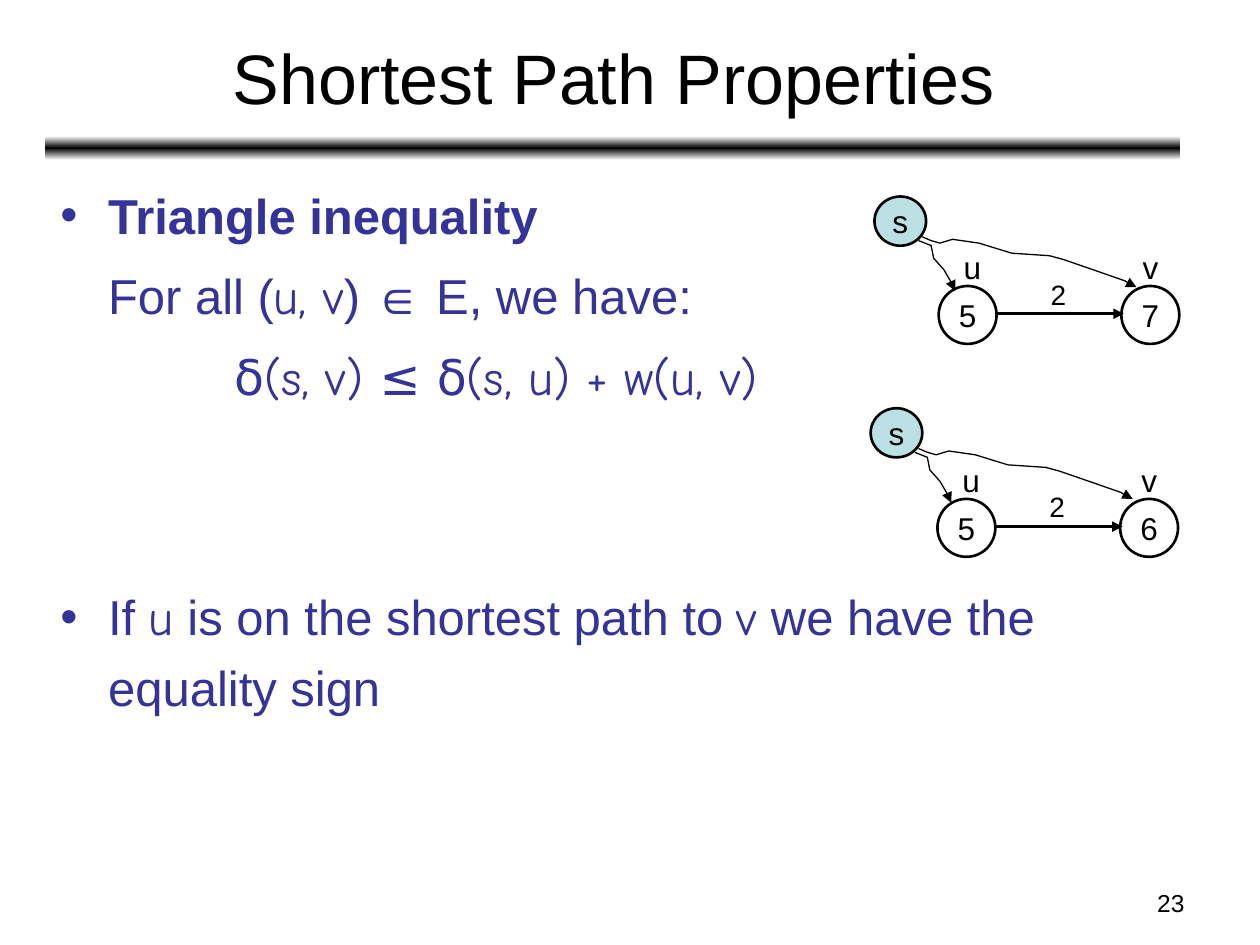
from dataclasses import dataclass

from lxml.etree import SubElement
from pptx import Presentation
from pptx.dml.color import RGBColor
from pptx.enum.shapes import MSO_CONNECTOR, MSO_SHAPE
from pptx.enum.text import MSO_ANCHOR, MSO_AUTO_SIZE, PP_ALIGN
from pptx.oxml.ns import qn
from pptx.util import Inches, Pt

WIDTH, HEIGHT = 10, 7.5
COLORS = {"ink": "000000", "body": "333399", "source": "BBE0E3", "paper": "FFFFFF"}
SANS, COMIC = "Arial", "Comic Neue"
NODE = 0.46
LINE_PITCH = 45.7  # points from one body line to the next
SPACE_BEFORE = 5.6


@dataclass
class Span:
    text: str
    font: str = SANS
    size: float = 28
    color: str = "body"
    bold: bool = False


@dataclass
class Para:
    spans: list[Span]
    bullet: bool = False
    margin: float = 0.38
    before: float = SPACE_BEFORE


@dataclass
class Diagram:
    """Origins of the u-v edge and of the source part, and v's distance."""
    edge: tuple[float, float]
    source: tuple[float, float]
    distance: str


DIAGRAMS = [
    Diagram((7.45, 2.27), (6.94, 1.56), "7"),
    Diagram((7.44, 3.96), (6.91, 3.24), "6"),
]
# Wavy paths, as offsets from the source node's corner
PATH_TO_U = [(0.35, 0.35), (0.45, 0.39), (0.47, 0.49), (0.55, 0.58), (0.62, 0.7), (0.64, 0.75)]
PATH_TO_V = [(0.38, 0.32), (0.45, 0.35), (0.52, 0.37), (0.62, 0.34), (0.83, 0.37),
             (1.09, 0.45), (1.39, 0.47), (1.5, 0.5), (1.76, 0.59), (1.99, 0.67),
             (2.05, 0.71), (2.08, 0.72)]
BODY = [
    Para([Span("Triangle inequality", bold=True)], bullet=True),
    Para([Span("For all ("), Span("u, v", COMIC), Span(") ∈ E, we have:")]),
    Para([Span("δ(s, v) ≤ δ(s, u) + w(u, v)", COMIC)], margin=1.38),
    Para([Span("If "), Span("u", COMIC), Span(" is on the shortest path to "),
          Span("v", COMIC), Span(" we have the equality sign")],
         bullet=True, before=SPACE_BEFORE + 2 * LINE_PITCH),
]


def rgb(name: str) -> RGBColor:
    return RGBColor.from_string(COLORS[name])


def add_span(para, span: Span) -> None:
    run = para.add_run()
    run.text = span.text
    formats = {"name": span.font, "size": Pt(span.size), "bold": span.bold}
    for key, value in formats.items():
        setattr(run.font, key, value)
    run.font.color.rgb = rgb(span.color)


def add_text(page, left, top, width, height, text, size, align=PP_ALIGN.LEFT,
             anchor=MSO_ANCHOR.TOP, wrap=True) -> None:
    box = page.shapes.add_textbox(*map(Inches, (left, top, width, height)))
    formats = {"word_wrap": wrap, "vertical_anchor": anchor, "auto_size": MSO_AUTO_SIZE.NONE
               if wrap else MSO_AUTO_SIZE.SHAPE_TO_FIT_TEXT}
    for key, value in formats.items():
        setattr(box.text_frame, key, value)
    para = box.text_frame.paragraphs[0]
    para.alignment = align
    add_span(para, Span(text, size=size, color="ink"))


def add_body(page) -> None:
    box = page.shapes.add_textbox(*map(Inches, (0.38, 1.33, 9.19, 5.55)))
    frame = box.text_frame
    frame.word_wrap = True
    for index, item in enumerate(BODY):
        para = frame.paragraphs[0] if index == 0 else frame.add_paragraph()
        para.line_spacing = 1.2
        para.space_before = Pt(item.before)
        properties = para._p.get_or_add_pPr()
        properties.set("marL", str(Inches(item.margin)))
        properties.set("indent", str(-Inches(item.margin) if item.bullet else 0))
        if item.bullet:
            SubElement(properties, qn("a:buFont")).set("typeface", SANS)
            SubElement(properties, qn("a:buChar")).set("char", "•")
        for span in item.spans:
            add_span(para, span)


def add_rule(page) -> None:
    bar = page.shapes.add_shape(MSO_SHAPE.ROUNDED_RECTANGLE,
                                *map(Inches, (0.36, 1.08, 9.01, 0.19)))
    bar.shadow.inherit = False
    bar.line.fill.background()
    bar.fill.gradient()
    bar.fill.gradient_angle = 270
    stops = bar.fill._fill._gradFill.find(qn("a:gsLst"))
    for stop in list(stops):
        stops.remove(stop)
    for position, color in ((0, "paper"), (50, "ink"), (100, "paper")):
        stop = SubElement(stops, qn("a:gs"), pos=str(position * 1000))
        SubElement(stop, qn("a:srgbClr"), val=COLORS[color])


def add_node(page, left, top, width, height, label, fill=None) -> None:
    node = page.shapes.add_shape(MSO_SHAPE.OVAL, *map(Inches, (left, top, width, height)))
    node.shadow.inherit = False
    if fill:
        node.fill.solid()
        node.fill.fore_color.rgb = rgb(fill)
    else:
        node.fill.background()
    node.line.color.rgb = rgb("ink")
    node.line.width = Pt(1.5)
    frame = node.text_frame
    frame.word_wrap = False
    frame.vertical_anchor = MSO_ANCHOR.MIDDLE
    frame.paragraphs[0].alignment = PP_ALIGN.CENTER
    add_span(frame.paragraphs[0], Span(label, size=18, color="ink"))


def style_arrow(shape, width: float) -> None:
    shape.line.color.rgb = rgb("ink")
    shape.line.width = Pt(width)
    SubElement(shape.line._get_or_add_ln(), qn("a:tailEnd"), type="triangle")


def add_wavy_arrow(page, origin, offsets) -> None:
    start, *rest = [(Inches(origin[0] + x), Inches(origin[1] + y)) for x, y in offsets]
    builder = page.shapes.build_freeform(*start)
    builder.add_line_segments(rest, close=False)
    curve = builder.convert_to_shape()
    curve.shadow.inherit = False
    curve.fill.background()
    style_arrow(curve, 0.75)


def add_diagram(page, diagram: Diagram) -> None:
    left, top = diagram.edge
    for shift, distance in ((0, "5"), (1.45, diagram.distance)):
        add_node(page, left + shift, top, NODE, NODE, distance)
    level = top + 0.22
    edge = page.shapes.add_connector(
        MSO_CONNECTOR.STRAIGHT, *map(Inches, (left + NODE, level, left + 1.47, level)))
    style_arrow(edge, 1.5)
    SubElement(edge._element.spPr, qn("a:effectLst"))
    for label, x, y, width, height, size in (("2", 0.79, -0.12, 0.32, 0.37, 16),
                                             ("u", 0.1, -0.35, 0.34, 0.4, 18),
                                             ("v", 1.52, -0.35, 0.33, 0.4, 18)):
        add_text(page, left + x, top + y, width, height, label, size, wrap=False)
    add_node(page, *diagram.source, 0.41, 0.39, "s", "source")
    for offsets in (PATH_TO_U, PATH_TO_V):
        add_wavy_arrow(page, diagram.source, offsets)


def main() -> None:
    deck = Presentation()
    deck.slide_width, deck.slide_height = Inches(WIDTH), Inches(HEIGHT)
    page = deck.slides.add_slide(deck.slide_layouts[6])
    add_rule(page)
    add_text(page, 7.17, 7, 2.33, 0.35, "23", 14, PP_ALIGN.RIGHT)
    add_text(page, 0.37, 0.11, 9, 0.99, "Shortest Path Properties", 40,
             PP_ALIGN.CENTER, MSO_ANCHOR.MIDDLE)
    add_body(page)
    for diagram in DIAGRAMS:
        add_diagram(page, diagram)
    deck.save("out.pptx")


if __name__ == "__main__":
    main()
